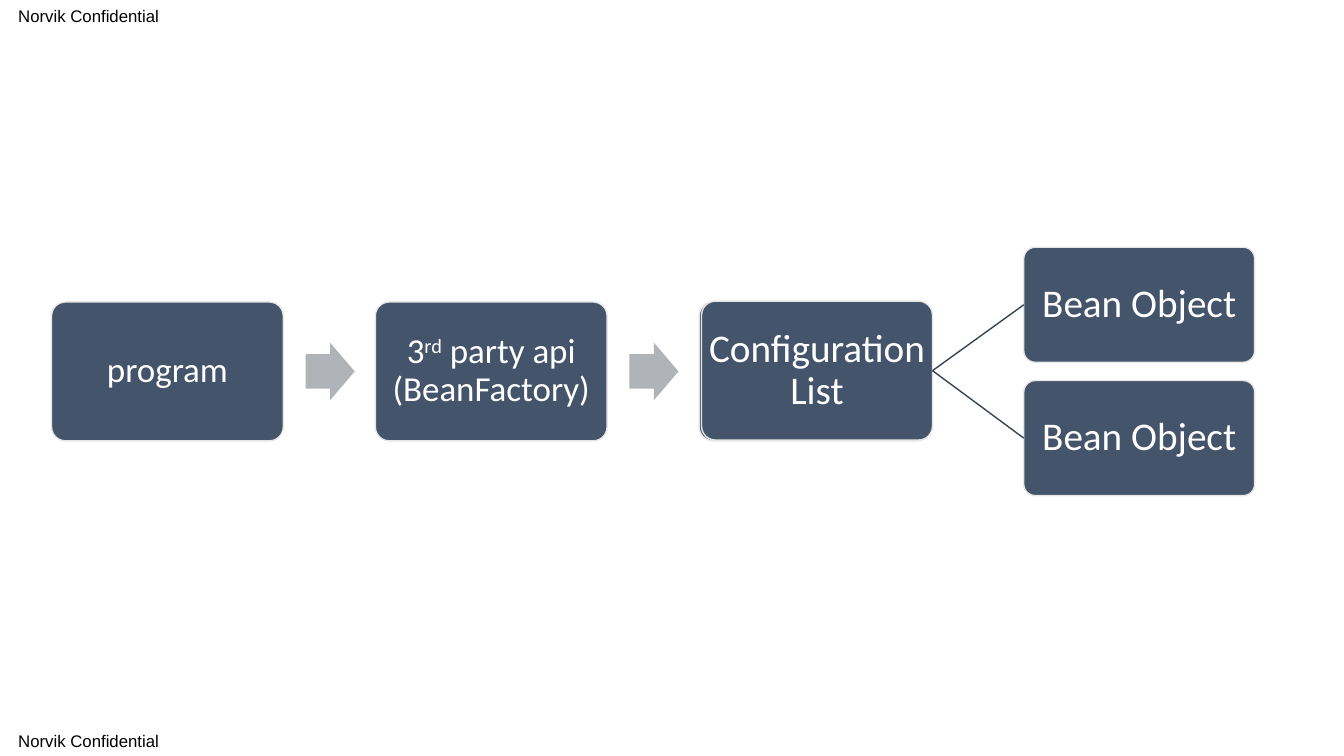
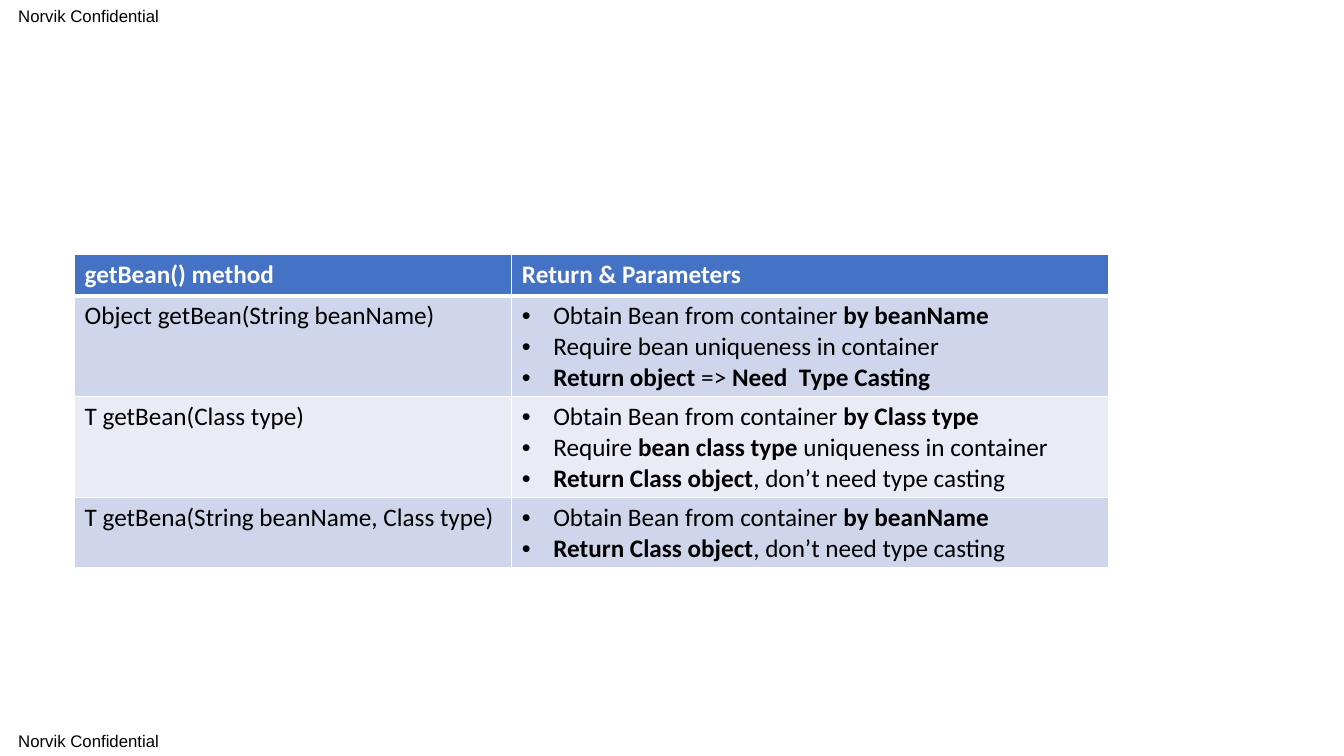
from pptx import Presentation
from pptx.dml.color import RGBColor
from pptx.enum import shapes as s, text as t
from pptx.oxml.ns import qn
from pptx.util import Cm, Pt
from lxml import etree

WHITE = RGBColor(0xFF, 0xFF, 0xFF)
BLACK = RGBColor(0, 0, 0)
SLATE = RGBColor(0x44, 0x54, 0x6A)
PALE = RGBColor(0xE7, 0xE6, 0xE6)
GREY = RGBColor(0xB0, 0xB4, 0xB9)
NAVY = RGBColor(0x36, 0x43, 0x55)
BLUE = RGBColor(0x44, 0x72, 0xC4)
BANDS = RGBColor(0xCF, 0xD5, 0xEA), RGBColor(0xE9, 0xEB, 0xF5)

WIDE, HIGH = 33.87, 19.05
MARK = "Norvik Confidential"


def write(frame, words, size=18, color=BLACK, font="Calibri", bold=False,
          align=None, lead=None, bullet=False):
    """Fill a frame: a line per paragraph, *bold* and ^raised^ marked."""
    for i, line in enumerate(words.split("\n")):
        para = frame.paragraphs[0] if i == 0 else frame.add_paragraph()
        para.alignment = align
        para.line_spacing = lead
        if bullet:
            props = para._p.get_or_add_pPr()
            props.set("marL", str(Cm(0.79)))
            props.set("indent", str(-Cm(0.79)))
            etree.SubElement(props, qn("a:buFont")).set("typeface", "Arial")
            etree.SubElement(props, qn("a:buChar")).set("char", "•")
        for j, part in enumerate(line.split("*")):
            for k, piece in enumerate(part.split("^")):
                if not piece:
                    continue
                run = para.add_run()
                run.text = piece
                run.font.name, run.font.size = font, Pt(size)
                run.font.bold = bold or j % 2 == 1
                run.font.color.rgb = color
                if k % 2:
                    run.font._element.set("baseline", "30000")


def edge(cell, side, width):
    """Draw one white border of a cell."""
    line = etree.SubElement(cell._tc.get_or_add_tcPr(), qn("a:ln" + side))
    line.set("w", str(Pt(width)))
    fill = etree.SubElement(line, qn("a:solidFill"))
    etree.SubElement(fill, qn("a:srgbClr")).set("val", str(WHITE))


class Deck:
    def __init__(self):
        self.prs = Presentation()
        self.prs.slide_width, self.prs.slide_height = Cm(WIDE), Cm(HIGH)
        self.slide = None

    def page(self):
        """Start a slide with its marks at the top and bottom."""
        self.slide = self.prs.slides.add_slide(self.prs.slide_layouts[6])
        for top in (0, HIGH - 0.77):
            box = self.slide.shapes.add_textbox(0, Cm(top), Cm(4.55), Cm(0.79))
            frame = box.text_frame
            frame.word_wrap = False
            frame.vertical_anchor = t.MSO_ANCHOR.MIDDLE
            frame.margin_left = Cm(0.46)
            frame.margin_right = frame.margin_top = frame.margin_bottom = 0
            write(frame, MARK, size=12, font="Arial")

    def shape(self, kind, x, mid, w, h, fill):
        """Add a preset shape centred on the height mid."""
        item = self.slide.shapes.add_shape(
            kind, Cm(x), Cm(mid - h / 2), Cm(w), Cm(h))
        item.shadow.inherit = False
        item.fill.solid()
        item.fill.fore_color.rgb = fill
        item.line.fill.background()
        return item

    def box(self, x, mid, w, h, words="", size=28, pad=0.04):
        item = self.shape(s.MSO_SHAPE.ROUNDED_RECTANGLE, x, mid, w, h, SLATE)
        item.adjustments[0] = 0.1
        item.line.color.rgb, item.line.width = PALE, Pt(1)
        frame = item.text_frame
        frame.word_wrap = True
        frame.vertical_anchor = t.MSO_ANCHOR.MIDDLE
        frame.margin_left = frame.margin_right = Cm(pad)
        frame.margin_top = frame.margin_bottom = Cm(pad)
        write(frame, words, size=size, color=WHITE, lead=0.9,
              align=t.PP_ALIGN.CENTER)
        return item

    def arrow(self, x, mid):
        item = self.shape(s.MSO_SHAPE.RIGHT_ARROW, x, mid, 1.24, 1.45, GREY)
        item.adjustments[0], item.adjustments[1] = 0.6, 0.5

    def link(self, start, end):
        """Join the right side of one box to the left side of another."""
        line = self.slide.shapes.add_connector(
            s.MSO_CONNECTOR.STRAIGHT, 0, 0, 0, 0)
        line.begin_connect(start, 3)
        line.end_connect(end, 1)
        line.line.color.rgb, line.line.width = NAVY, Pt(1)
        etree.SubElement(line._element.spPr, qn("a:effectLst"))

    def table(self, x, y, cols, highs, rows):
        grid = self.slide.shapes.add_table(
            len(rows), len(cols), Cm(x), Cm(y),
            Cm(sum(cols)), Cm(sum(highs))).table
        for c, wide in enumerate(cols):
            grid.columns[c].width = Cm(wide)
        for r, row in enumerate(rows):
            grid.rows[r].height = Cm(highs[r])
            head = r == 0
            for c, words in enumerate(row):
                cell = grid.cell(r, c)
                for side in "LRTB":
                    thick = (r, side) in ((0, "B"), (1, "T"))
                    edge(cell, side, 3 if thick else 1)
                cell.fill.solid()
                cell.fill.fore_color.rgb = BLUE if head else BANDS[(r - 1) % 2]
                write(cell.text_frame, words, bold=head,
                      color=WHITE if head else BLACK,
                      bullet=c == 1 and not head)


def flow(deck):
    deck.page()
    left, step, mid, w, h = 1.3, 8.16, 9.36, 5.84, 3.5
    # Steps, each followed by an arrow
    for i, words in enumerate(("program", "3^rd^ party api (BeanFactory)")):
        x = left + i * step
        deck.box(x, mid, w, h, words, size=25, pad=0.22)
        deck.arrow(x + w + 0.56, mid)
    # List with its backing box
    deck.box(left + 2 * step, mid, w, h)
    hub = deck.box(17.68, mid - 0.02, 5.82, h, "Configuration List")
    # Objects
    for shift in (-1.68, 1.68):
        bean = deck.box(25.8, mid + shift, 5.82, 2.9, "Bean Object")
        deck.link(hub, bean)


def methods(deck):
    deck.page()
    deck.table(1.88, 6.42, (11.02, 15.04), (1.03, 2.54, 2.54, 1.78), (
        ("getBean() method", "Return & Parameters"),
        ("Object getBean(String beanName)",
         "Obtain Bean from container *by beanName*\n"
         "Require bean uniqueness in container\n"
         "*Return object *=> *Need  Type Casting*"),
        ("T getBean(Class type)",
         "Obtain Bean from container *by Class type*\n"
         "Require *bean class type *uniqueness in container\n"
         "*Return Class object*, don’t need type casting"),
        ("T getBena(String beanName, Class type)",
         "Obtain Bean from container *by beanName*\n"
         "*Return Class object*, don’t need type casting"),
    ))


def main():
    deck = Deck()
    flow(deck)
    methods(deck)
    deck.prs.save("out.pptx")


if __name__ == "__main__":
    main()
